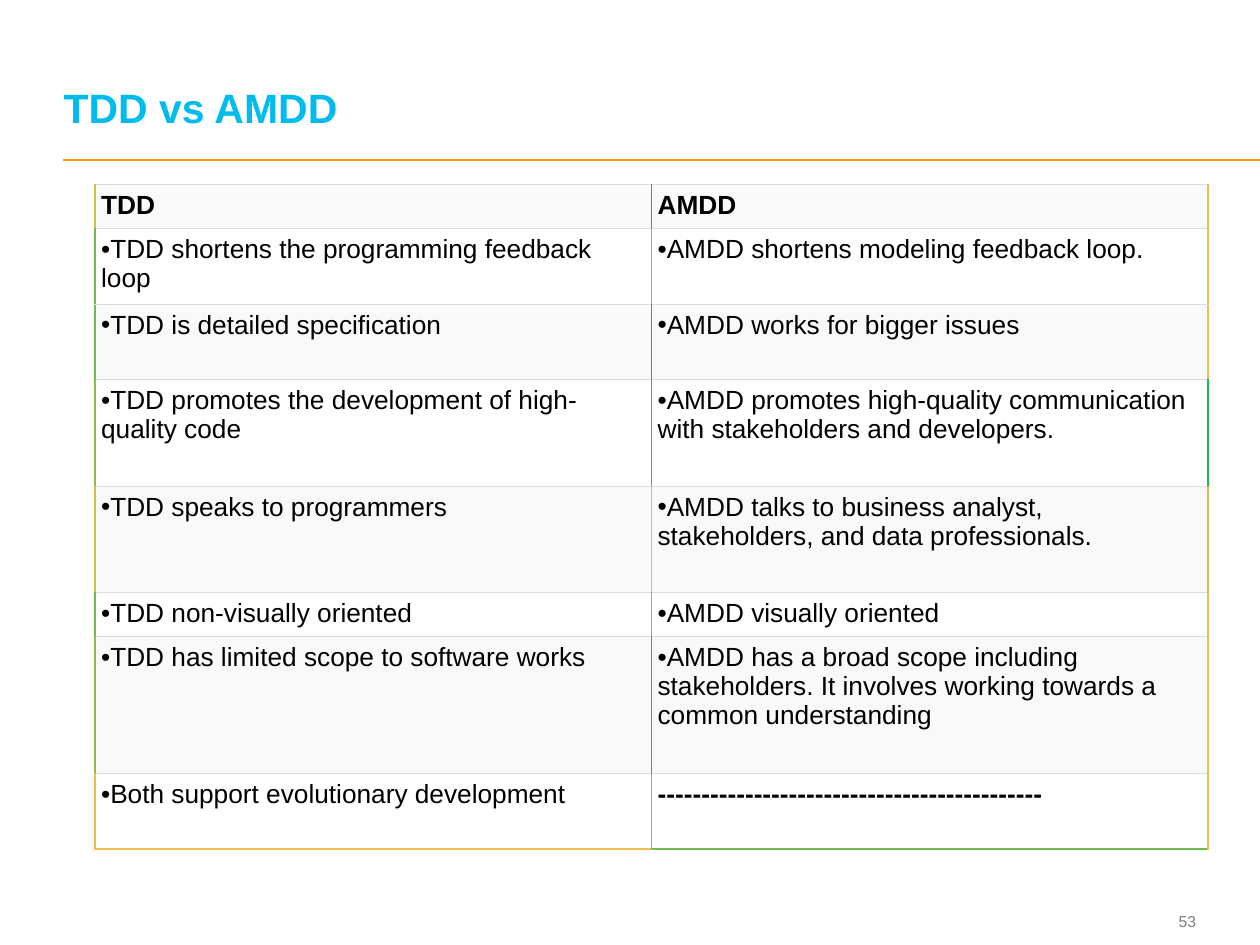
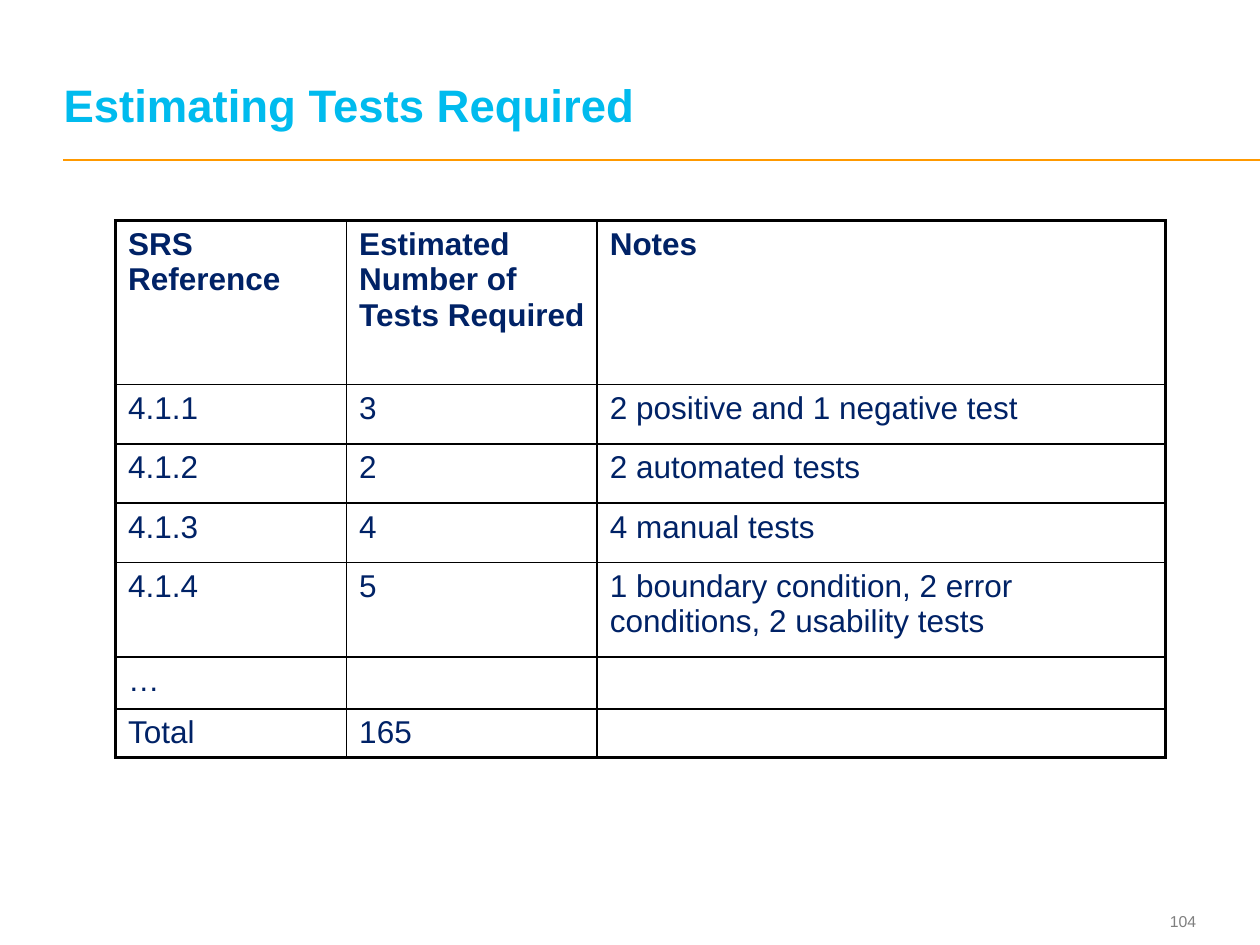
from lxml.etree import SubElement
from pptx import Presentation
from pptx.dml.color import RGBColor
from pptx.enum.shapes import MSO_CONNECTOR
from pptx.enum.text import MSO_ANCHOR, MSO_AUTO_SIZE, PP_ALIGN
from pptx.oxml.ns import qn
from pptx.util import Pt

COLORS = {
    "title": "00BBEE", "rule": "FF9900", "number": "7F7F7F",
    "black": "000000", "navy": "002266", "grid": "DDDDDD",
    "white": "FFFFFF", "band": "F9F9F9",
    "leaf": "70BB50", "moss": "90BB50", "lime": "90BE50", "olive": "D0BE50",
    "green": "10BE50", "emerald": "10BF50", "fern": "30BC50",
    "amber": "F0BA50", "gold": "F0BD50",
}
FONT = "Arial"


class Deck:
    """Holds the shared style and the current slide."""

    def __init__(self):
        self.presentation = Presentation()
        self.presentation.slide_width = Pt(720)
        self.presentation.slide_height = Pt(540)
        self.slide = None

    def style(self, part, size, color, bold=False):
        """Format a paragraph or a run."""
        font = part.font
        font.name, font.size, font.bold = FONT, Pt(size), bold
        font.color.rgb = RGBColor.from_string(COLORS[color])

    def clear_margins(self, frame, anchor):
        frame.margin_left = frame.margin_right = Pt(0)
        frame.margin_top = frame.margin_bottom = Pt(0)
        frame.word_wrap = True
        frame.auto_size = MSO_AUTO_SIZE.NONE
        frame.vertical_anchor = anchor

    def add_slide(self, heading, heading_size, number):
        layout = self.presentation.slide_layouts[5]
        self.slide = self.presentation.slides.add_slide(layout)
        self.rule()
        self.page_number(number)
        self.title(heading, heading_size)

    def title(self, heading, size):
        title = self.slide.shapes.title
        title.left, title.top = Pt(36.3), Pt(13.2)
        title.width, title.height = Pt(646), Pt(62)
        self.clear_margins(title.text_frame, MSO_ANCHOR.BOTTOM)
        title.text_frame.text = heading
        paragraph = title.text_frame.paragraphs[0]
        paragraph.alignment = PP_ALIGN.LEFT
        paragraph.line_spacing = Pt(26)
        self.style(paragraph, size, "title", bold=True)

    def rule(self):
        rule = self.slide.shapes.add_connector(
            MSO_CONNECTOR.STRAIGHT, Pt(36), Pt(91.4), Pt(720), Pt(91.4))
        rule.line.color.rgb = RGBColor.from_string(COLORS["rule"])
        rule.line.width = Pt(1)
        SubElement(rule._element.spPr, qn("a:effectLst"))

    def page_number(self, number):
        box = self.slide.shapes.add_textbox(Pt(641), Pt(517), Pt(42.5), Pt(19.4))
        self.clear_margins(box.text_frame, MSO_ANCHOR.MIDDLE)
        box.text_frame.text = str(number)
        paragraph = box.text_frame.paragraphs[0]
        paragraph.alignment = PP_ALIGN.RIGHT
        self.style(paragraph, 9, "number")

    def table(self, left, top, widths, heights):
        frame = self.slide.shapes.add_table(
            len(heights), len(widths), Pt(left), Pt(top),
            Pt(sum(widths)), Pt(sum(heights)))
        table = frame.table
        table.first_row = table.horz_banding = False
        for column, width in zip(table.columns, widths):
            column.width = Pt(width)
        for row, height in zip(table.rows, heights):
            row.height = Pt(height)
        return table

    def cell(self, cell, text, size, color, borders, bold=False,
             bullet=False, fill=None, side_margin=7.2):
        """Borders are (color, width) pairs: left, right, top, bottom."""
        cell.margin_left = cell.margin_right = Pt(side_margin)
        cell.margin_top = cell.margin_bottom = Pt(3.6)
        cell.text = text
        paragraph = cell.text_frame.paragraphs[0]
        if bullet:
            properties = paragraph._p.get_or_add_pPr()
            properties.set("marL", "0")
            properties.set("indent", "0")
            SubElement(properties, qn("a:buFont"), typeface=FONT)
            SubElement(properties, qn("a:buChar"), char="•")
            # The bullet takes its size from the first run
            self.style(paragraph.runs[0], size, color, bold)
        self.style(paragraph, size, color, bold)
        cell_properties = cell._tc.get_or_add_tcPr()
        for side, (line_color, width) in zip("LRTB", borders):
            line = SubElement(cell_properties, qn(f"a:ln{side}"), w=str(Pt(width)))
            solid = SubElement(line, qn("a:solidFill"))
            SubElement(solid, qn("a:srgbClr"), val=COLORS[line_color])
        if fill:
            cell.fill.solid()
            cell.fill.fore_color.rgb = RGBColor.from_string(COLORS[fill])
        else:
            cell.fill.background()


def add_comparison(deck):
    deck.add_slide("TDD vs AMDD", 23.4, 53)
    # Row height, texts, and the colors of the three vertical lines
    rows = [
        (25.2, "TDD", "AMDD", ("olive", "green", "amber")),
        (43.2, "TDD shortens the programming feedback loop",
         "AMDD shortens modeling feedback loop.", ("leaf", "lime", "gold")),
        (43.2, "TDD is detailed specification",
         "AMDD works for bigger issues", ("leaf", "green", "gold")),
        (60.8, "TDD promotes the development of high-quality code",
         "AMDD promotes high-quality communication with stakeholders and developers.",
         ("moss", "fern", "emerald")),
        (60.8, "TDD speaks to programmers",
         "AMDD talks to business analyst, stakeholders, and data professionals.",
         ("olive", "amber", "olive")),
        (25.2, "TDD non-visually oriented",
         "AMDD visually oriented", ("leaf", "lime", "amber")),
        (78.2, "TDD has limited scope to software works",
         "AMDD has a broad scope including stakeholders. It involves working "
         "towards a common understanding", ("moss", "emerald", "gold")),
        (43.2, "Both support evolutionary development", "-" * 44,
         ("amber", "moss", "amber")),
    ]
    table = deck.table(54.2, 105.4, [318, 318], [row[0] for row in rows])
    last = len(rows) - 1
    grid = ("grid", 0.6)
    for r, (_, tdd, amdd, verticals) in enumerate(rows):
        for c, text in enumerate((tdd, amdd)):
            bottom = (("gold", "leaf")[c], 1) if r == last else grid
            strong = r == 0 or (r, c) == (last, 1)
            deck.cell(table.cell(r, c), text, 15, "black",
                      [(verticals[c], 1), (verticals[c + 1], 1), grid, bottom],
                      bold=strong, bullet=not strong, side_margin=3.6,
                      fill="white" if r % 2 else "band")


def add_estimates(deck):
    deck.add_slide("Estimating Tests Required", 26, 104)
    rows = [
        (93.7, "SRS Reference", "Estimated Number of Tests Required", "Notes"),
        (33.9, "4.1.1", "3", "2 positive and 1 negative test"),
        (33.9, "4.1.2", "2", "2 automated tests"),
        (33.9, "4.1.3", "4", "4 manual tests"),
        (54, "4.1.4", "5", "1 boundary condition, 2 error conditions, 2 usability tests"),
        (29.7, "…", "", ""),
        (27.9, "Total", "165", ""),
    ]
    table = deck.table(66, 126.1, [132.1, 143.2, 324.7], [row[0] for row in rows])
    for r, (_, *texts) in enumerate(rows):
        for c, text in enumerate(texts):
            # The outer frame is heavier than the inner lines
            outer = (c == 0, c == 2, r == 0, r == len(rows) - 1)
            borders = [("black", 2.25 if edge else 1) for edge in outer]
            deck.cell(table.cell(r, c), text, 18, "navy", borders, bold=r == 0)


def main():
    deck = Deck()
    add_comparison(deck)
    add_estimates(deck)
    deck.presentation.save("out.pptx")


if __name__ == "__main__":
    main()
